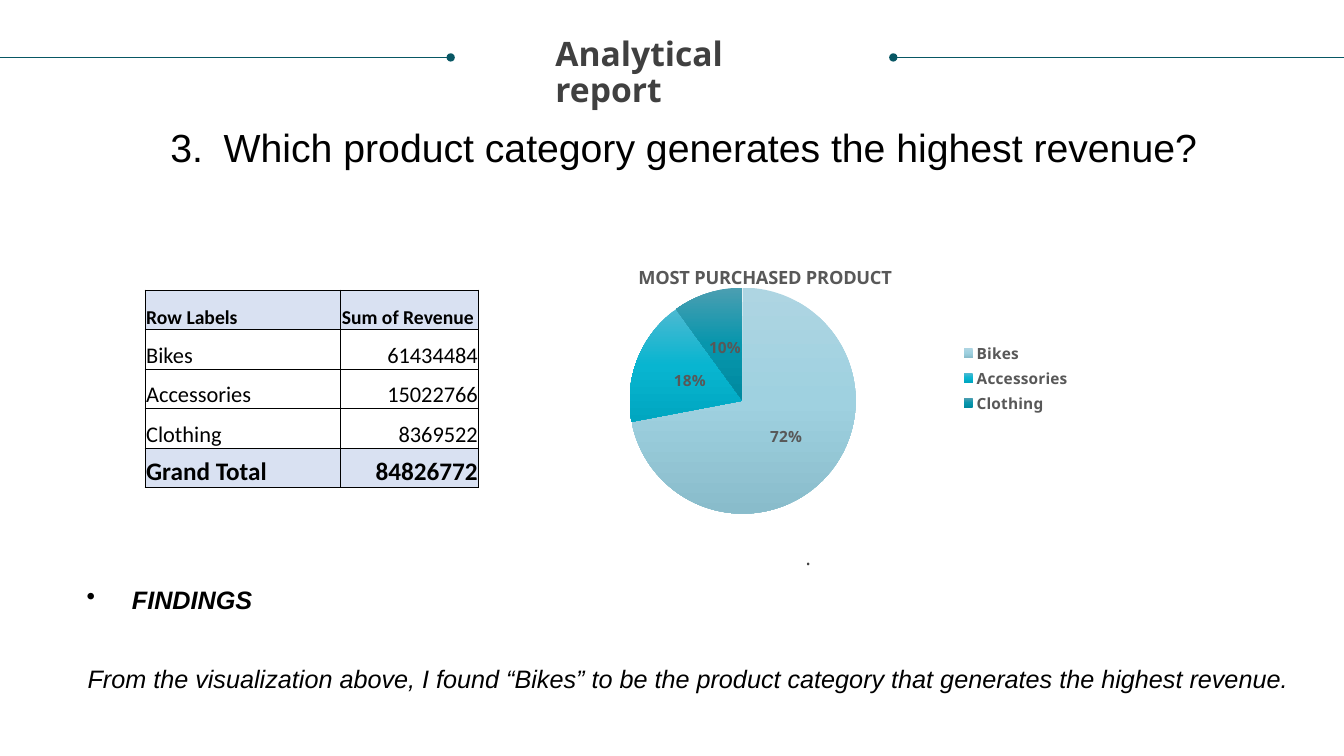
from lxml import etree
from pptx import Presentation
from pptx import util as u
from pptx.chart.data import CategoryChartData
from pptx.dml.color import RGBColor
from pptx.enum import chart as charts, shapes, text
from pptx.oxml.ns import qn

COLORS = {"teal": "085764", "title": "404040", "ink": "000000",
          "label": "585858", "band": "D9E1F2"}
SLICES = {"Bikes": (72, ("AED5E2", "9FD1E0", "89BCCB")),
          "Accessories": (18, ("4CB9D1", "08B5D0", "00A6C0")),
          "Clothing": (10, ("4B9EB1", "0796AD", "00899F"))}
REVENUE = [("Row Labels", "Sum of Revenue"), ("Bikes", "61434484"),
           ("Accessories", "15022766"), ("Clothing", "8369522"),
           ("Grand Total", "84826772")]


def add_xml(parent, tag, **attributes):
    """Append a child element and return it."""
    child = etree.SubElement(parent, qn(tag))
    for name, value in attributes.items():
        child.set(name, str(value))
    return child


def add_solid(parent, color):
    """Append a solid fill of a named colour."""
    add_xml(add_xml(parent, "a:solidFill"), "a:srgbClr", val=COLORS[color])


def set_font(font, size, name="Noto Sans", color="ink", bold=False, italic=False):
    """Format a font."""
    font.name, font.size = name, u.Pt(size)
    font.bold, font.italic = bold, italic
    font.color.rgb = RGBColor.from_string(COLORS[color])


def write(para, words, align=None, spacing=None, before=None, left=0, hang=0,
          bullet=None, number=None, **font):
    """Write one formatted paragraph, with an optional bullet or number."""
    span = para.add_run()
    span.text = words
    set_font(span.font, **font)
    para.alignment = align
    if spacing:
        para.line_spacing = spacing
    if before:
        para.space_before = u.Pt(before)
    props = para._p.get_or_add_pPr()
    props.set("marL", str(u.Inches(left)))
    props.set("indent", str(u.Inches(-hang)))
    if bullet:
        add_xml(props, "a:buChar", char=bullet)
    if number:
        add_xml(props, "a:buAutoNum", type="arabicPeriod", startAt=number)


def place(parent, index, target=None, **fractions):
    """Give a chart part a manual layout in fractions of the chart."""
    layout = parent.find(qn("c:layout"))
    if layout is None:
        layout = etree.Element(qn("c:layout"))
        parent.insert(index, layout)
    for child in list(layout):
        layout.remove(child)
    manual = add_xml(layout, "c:manualLayout")
    if target:
        add_xml(manual, "c:layoutTarget", val=target)
    for mode in ("c:xMode", "c:yMode"):
        add_xml(manual, mode, val="edge")
    for name, value in fractions.items():
        add_xml(manual, "c:" + name, val=value)


def fill_gradient(point, stops):
    """Fill a pie slice with evenly spaced stops from top to bottom."""
    point.format.line.fill.background()
    props = point.format.line._get_or_add_ln().getparent()
    gradient = etree.Element(qn("a:gradFill"))
    stop_list = add_xml(gradient, "a:gsLst")
    for index, color in enumerate(stops):
        stop = add_xml(stop_list, "a:gs", pos=index * 100000 // (len(stops) - 1))
        add_xml(stop, "a:srgbClr", val=color)
    add_xml(gradient, "a:lin", ang=5400000, scaled=0)
    props.insert(0, gradient)


class Page:
    """The current slide and the style of its elements."""

    def __init__(self, deck):
        """Add a blank slide."""
        self.shapes = deck.slides.add_slide(deck.slide_layouts[6]).shapes

    def line(self, start, end, y, dot):
        """Draw a level rule with a dot at its head or tail."""
        rule = self.shapes.add_connector(
            shapes.MSO_CONNECTOR.STRAIGHT, *map(u.Inches, (start, y, end, y)))
        rule.line.color.rgb = RGBColor.from_string(COLORS["teal"])
        rule.line.width = u.Pt(0.5)
        add_xml(rule.line._get_or_add_ln(), f"a:{dot}End", type="oval")
        add_xml(rule._element.spPr, "a:effectLst")

    def text(self, area, paragraphs, margins=(0.1, 0.05)):
        """Add a text box from a list of (words, format) pairs."""
        box = self.shapes.add_textbox(*map(u.Inches, area))
        frame = box.text_frame
        frame.word_wrap = True
        frame.margin_left = frame.margin_right = u.Inches(margins[0])
        frame.margin_top = frame.margin_bottom = u.Inches(margins[1])
        for index, (words, style) in enumerate(paragraphs):
            para = frame.add_paragraph() if index else frame.paragraphs[0]
            write(para, words, **style)

    def table(self, area, rows, widths):
        """Add a bordered table with banded header and total rows."""
        frame = self.shapes.add_table(len(rows), len(widths), *map(u.Inches, area))
        table = frame.table
        table.first_row = table.horz_banding = False
        for column, width in zip(table.columns, widths):
            column.width = u.Inches(width)
        last = len(rows) - 1
        for r, values in enumerate(rows):
            table.rows[r].height = u.Inches(area[3] / len(rows))
            size = {0: 14, last: 18}.get(r, 16)
            for c, value in enumerate(values):
                align = text.PP_ALIGN.RIGHT if r and c else text.PP_ALIGN.LEFT
                self.cell(table.cell(r, c), value, r in (0, last), size, align)

    def cell(self, cell, value, banded, size, align):
        """Write, border and fill one table cell."""
        cell.margin_left = cell.margin_right = cell.margin_top = u.Inches(0.01)
        cell.margin_bottom = 0
        cell.vertical_anchor = text.MSO_ANCHOR.BOTTOM
        write(cell.text_frame.paragraphs[0], value, align=align,
              size=size, name="Calibri", bold=banded)
        props = cell._tc.get_or_add_tcPr()
        for side in "LRTB":
            add_solid(add_xml(props, f"a:ln{side}", w=u.Pt(1)), "ink")
        if banded:
            cell.fill.solid()
            cell.fill.fore_color.rgb = RGBColor.from_string(COLORS["band"])
        else:
            cell.fill.background()

    def pie(self, area, title, slices):
        """Add a pie chart with gradient slices, percent labels and a legend."""
        data = CategoryChartData()
        data.categories = list(slices)
        data.add_series("Series 1", [value for value, _ in slices.values()])
        chart = self.shapes.add_chart(
            charts.XL_CHART_TYPE.PIE, *map(u.Inches, area), data).chart
        set_font(chart.font, 11, bold=True)
        chart.has_title = True
        write(chart.chart_title.text_frame.paragraphs[0], title,
              size=13, color="label", bold=True)
        place(chart.chart_title._element, 1, x=0.19, y=0.11)
        chart.has_legend = True
        legend = chart.legend
        legend.position = charts.XL_LEGEND_POSITION.RIGHT
        legend.include_in_layout = False
        set_font(legend.font, 11, color="label", bold=True)
        place(legend._element, 1, x=0.78, y=0.37, w=0.2, h=0.26)
        plot = chart.plots[0]
        plot.vary_by_categories = True
        place(plot._element.getparent(), 0, "inner", x=0.18, y=0.2, w=0.41, h=0.75)
        plot.has_data_labels = True
        labels = plot.data_labels
        labels.show_percentage, labels.show_value = True, False
        labels.number_format, labels.number_format_is_linked = "0%", False
        labels.position = charts.XL_LABEL_POSITION.CENTER
        set_font(labels.font, 11, color="label", bold=True)
        for index, (_, stops) in enumerate(slices.values()):
            fill_gradient(plot.series[0].points[index], stops)


def main():
    """Build the slide and save it."""
    deck = Presentation()
    deck.slide_width, deck.slide_height = u.Inches(13.33), u.Inches(7.5)
    page = Page(deck)
    page.line(8.86, 13.33, 0.57, "head")
    page.line(0, 4.47, 0.57, "tail")
    page.text((7.99, 5.42, 4.55, 0.24),
              [(".", dict(size=14, color="title"))], margins=(0, 0))
    page.text((5.41, 0.32, 2.5, 0.5), [
        ("Analytical report", dict(size=24, color="title", bold=True, spacing=0.9))])
    page.text((1.44, 1.12, 11.82, 1.06), [
        ("Which product category generates the highest revenue?",
         dict(size=28, name="Arial", left=0.68, hang=0.53, number=3))],
        margins=(0.1, 0.1))
    page.table((1.44, 2.88, 3.31, 1.96), REVENUE, (1.94, 1.37))
    page.pie((5.26, 2.25, 5.47, 3), "MOST PURCHASED PRODUCT", SLICES)
    finding = dict(size=18, name="Arial", italic=True, spacing=1.3)
    page.text((0.62, 5.66, 12.3, 1.24), [
        ("FINDINGS", dict(finding, bold=True, left=0.59, hang=0.45, bullet="•")),
        ("From the visualization above, I found “Bikes” to be the product "
         "category that generates the highest revenue.",
         dict(finding, left=0.15, before=28))])
    deck.save("out.pptx")


main()
